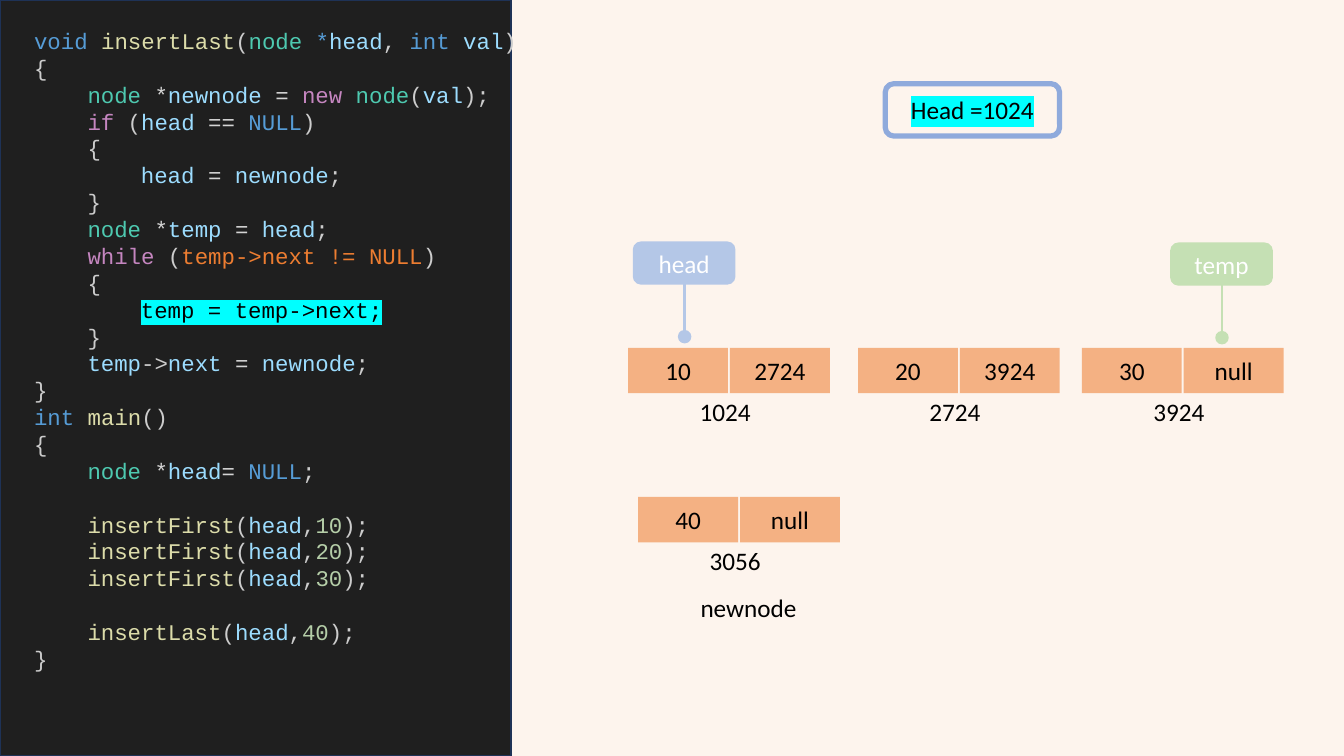
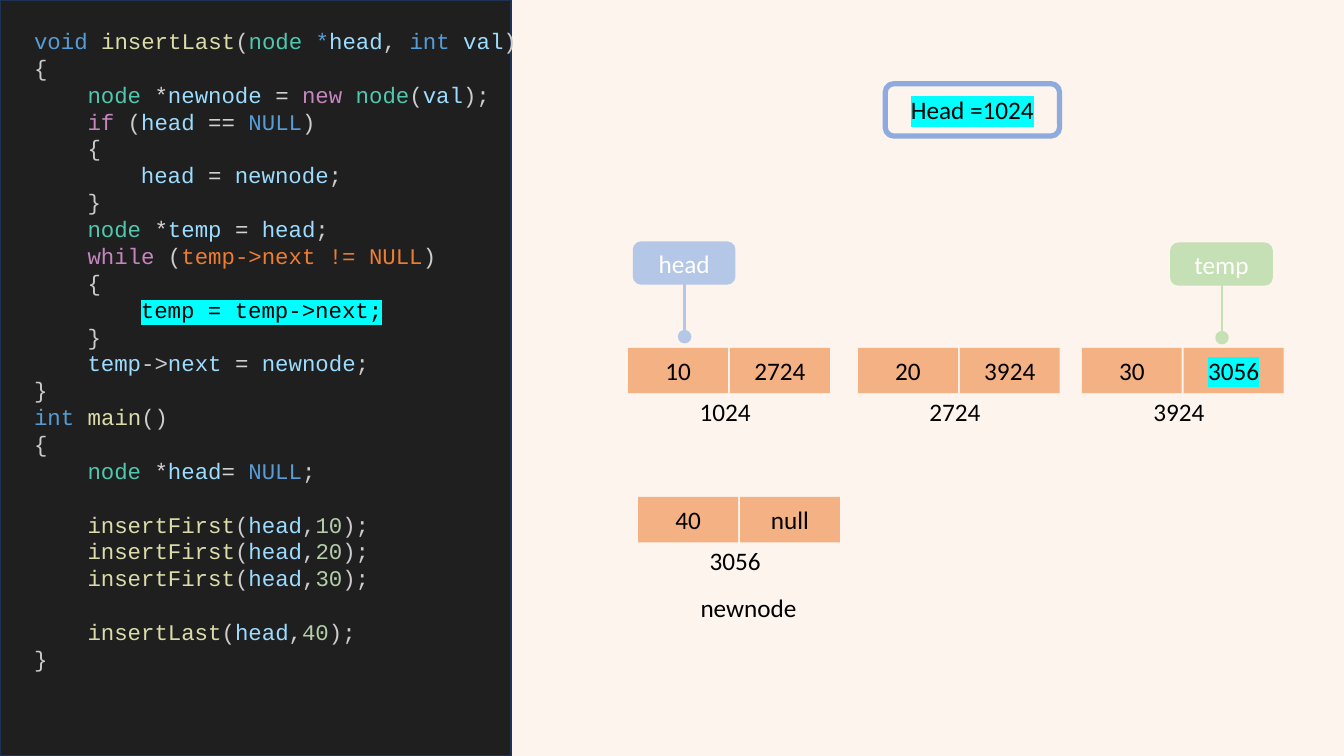
"""Build two slides that step through appending a node to a linked list."""
from dataclasses import dataclass

from lxml.etree import SubElement
from pptx import Presentation
from pptx.dml.color import RGBColor
from pptx.enum.shapes import MSO_CONNECTOR, MSO_SHAPE
from pptx.enum.text import MSO_ANCHOR, MSO_AUTO_SIZE, PP_ALIGN
from pptx.oxml.ns import qn
from pptx.util import Inches, Pt


@dataclass(frozen=True)
class Theme:
    background: str = "FDF4ED"
    panel: str = "1F1F1F"
    panel_edge: str = "1E3256"
    cell: str = "F4B183"
    frame: str = "8FAADC"
    head: str = "B4C7E7"
    temp: str = "C5E0B4"
    ink: str = "000000"
    paper: str = "FFFFFF"
    highlight: str = "00FFFF"
    keyword: str = "569CD6"
    control: str = "C586C0"
    function: str = "DCDCAA"
    kind: str = "4EC9B0"
    variable: str = "9CDCFE"
    number: str = "B5CEA8"
    operator: str = "D4D4D4"
    plain: str = "CCCCCC"
    condition: str = "ED7D31"
    body_font: str = "Calibri"
    code_font: str = "Courier New"
    body_size: float = 18
    code_size: float = 16
    code_leading: float = 19.2


theme = Theme()


def add_span(para, text, color, font=theme.body_font, size=theme.body_size, marked=False):
    span = para.add_run()
    span.text = text
    span.font.size = Pt(size)
    span.font.color.rgb = RGBColor.from_string(color)
    span.font.name = font
    if marked:
        properties = span._r.get_or_add_rPr()
        highlight = SubElement(properties, qn("a:highlight"))
        SubElement(highlight, qn("a:srgbClr")).set("val", theme.highlight)
        properties.find(qn("a:solidFill")).addnext(highlight)


def add_box(shapes, preset, left, top, width, height, fill=None, edge=None, weight=1,
            text="", color=theme.ink, marked=False):
    box = shapes.add_shape(preset, Inches(left), Inches(top), Inches(width), Inches(height))
    box.shadow.inherit = False
    if fill:
        box.fill.solid()
        box.fill.fore_color.rgb = RGBColor.from_string(fill)
    else:
        box.fill.background()
    if edge:
        box.line.color.rgb = RGBColor.from_string(edge)
        box.line.width = Pt(weight)
    else:
        box.line.fill.background()
    if text:
        box.text_frame.vertical_anchor = MSO_ANCHOR.MIDDLE
        para = box.text_frame.paragraphs[0]
        para.alignment = PP_ALIGN.CENTER
        add_span(para, text, color, marked=marked)


keyword, control, function, kind = theme.keyword, theme.control, theme.function, theme.kind
variable, number, operator, plain = theme.variable, theme.number, theme.operator, theme.plain

code = [
    (0, [("void ", keyword), ("insertLast", function), ("(", plain), ("node ", kind),
         ("*", keyword), ("head", variable), (", ", plain), ("int ", keyword),
         ("val", variable), (")", plain)]),
    (0, [("{", plain)]),
    (1, [("node ", kind), ("*", operator), ("newnode ", variable), ("= ", operator),
         ("new ", control), ("node", kind), ("(", plain), ("val", variable), (");", plain)]),
    (1, [("if", control), (" (", plain), ("head ", variable), ("== ", operator),
         ("NULL", keyword), (")", plain)]),
    (1, [("{", plain)]),
    (2, [("head ", variable), ("= ", operator), ("newnode", variable), (";", plain)]),
    (1, [("}", plain)]),
    (1, [("node ", kind), ("*", operator), ("temp ", variable), ("= ", operator),
         ("head", variable), (";", plain)]),
    (1, [("while", control), (" (", plain), ("temp->next != NULL", theme.condition),
         (")", plain)]),
    (1, [("{", plain)]),
    (2, [("temp = temp->next;", theme.ink)]),
    (1, [("}", plain)]),
    (1, [("temp", variable), ("->", plain), ("next ", variable), ("= ", operator),
         ("newnode", variable), (";", plain)]),
    (0, [("}", plain)]),
    (0, [("int ", keyword), ("main", function), ("()", plain)]),
    (0, [("{", plain)]),
    (1, [("node ", kind), ("*", operator), ("head", variable), ("= ", operator),
         ("NULL", keyword), (";", plain)]),
]
calls = [("insertFirst", "10"), ("insertFirst", "20"), ("insertFirst", "30"),
         ("insertLast", "40")]
for name, value in calls:
    code.append((1, [(name, function), ("(", plain), ("head", variable), (",", plain),
                     (value, number), (");", plain)]))
code.append((0, [("}", plain)]))
lines_after_gap = (17, 20)

deck = Presentation()
deck.slide_width, deck.slide_height = Inches(13.33), Inches(7.5)
deck.slide_master.background.fill.solid()
deck.slide_master.background.fill.fore_color.rgb = RGBColor.from_string(theme.background)
blank_layout = deck.slide_layouts[6]

for last_link, link_changed in [("null", False), ("3056", True)]:
    page = deck.slides.add_slide(blank_layout)
    add_box(page.shapes, MSO_SHAPE.RECTANGLE, 0, 0, 5.07, 7.5, theme.panel, theme.panel_edge)

    listing = page.shapes.add_textbox(Inches(0.24), Inches(0.22), Inches(5.5), Inches(7.1))
    listing.text_frame.word_wrap = True
    for index, (depth, spans) in enumerate(code):
        para = listing.text_frame.add_paragraph() if index else listing.text_frame.paragraphs[0]
        para.line_spacing = Pt(theme.code_leading)
        para._p.get_or_add_pPr().set("marL", str(Inches(0.53 * depth)))
        if index in lines_after_gap:
            para.space_before = Pt(theme.code_leading)
        for text, color in spans:
            add_span(para, text, color, theme.code_font, theme.code_size,
                     marked=color == theme.ink)

    add_box(page.shapes, MSO_SHAPE.ROUNDED_RECTANGLE, 8.78, 0.83, 1.73, 0.52,
            edge=theme.frame, weight=3.75, text="Head =1024", marked=True)

    nodes = [
        (6.23, 3.45, "10", "2724", "1024", False),
        (8.51, 3.45, "20", "3924", "2724", False),
        (10.73, 3.45, "30", last_link, "3924", link_changed),
        (6.33, 4.93, "40", "null", "3056", False),
    ]
    labels = [(page.shapes, 6.85, 5.83, 1.17, "newnode")]
    for left, top, value, link, address, marked in nodes:
        node = page.shapes.add_group_shape().shapes
        add_box(node, MSO_SHAPE.RECTANGLE, left, top, 0.99, 0.45, theme.cell, text=value)
        add_box(node, MSO_SHAPE.RECTANGLE, left + 1.01, top, 0.99, 0.45, theme.cell,
                text=link, marked=marked)
        labels.append((node, left + 0.61, top + 0.43, 0.71, address))

    for shapes, left, top, width, text in labels:
        label = shapes.add_textbox(Inches(left), Inches(top), Inches(width), Inches(0.4))
        label.text_frame.word_wrap = False
        label.text_frame.auto_size = MSO_AUTO_SIZE.SHAPE_TO_FIT_TEXT
        add_span(label.text_frame.paragraphs[0], text, theme.ink)

    for left, top, text, color in [(6.29, 2.41, "head", theme.head),
                                   (11.62, 2.42, "temp", theme.temp)]:
        pointer = page.shapes.add_group_shape().shapes
        add_box(pointer, MSO_SHAPE.ROUNDED_RECTANGLE, left, top, 0.99, 0.4, color, color, 2,
                text, theme.paper)
        stem = pointer.add_connector(MSO_CONNECTOR.STRAIGHT, Inches(left + 0.5),
                                     Inches(top + 0.41), Inches(left + 0.5), Inches(top + 0.93))
        stem.line.color.rgb = RGBColor.from_string(color)
        stem.line.width = Pt(1.75)
        SubElement(stem._element.spPr, qn("a:effectLst"))
        add_box(pointer, MSO_SHAPE.OVAL, left + 0.44, top + 0.87, 0.12, 0.12, color, color)

deck.save("out.pptx")
